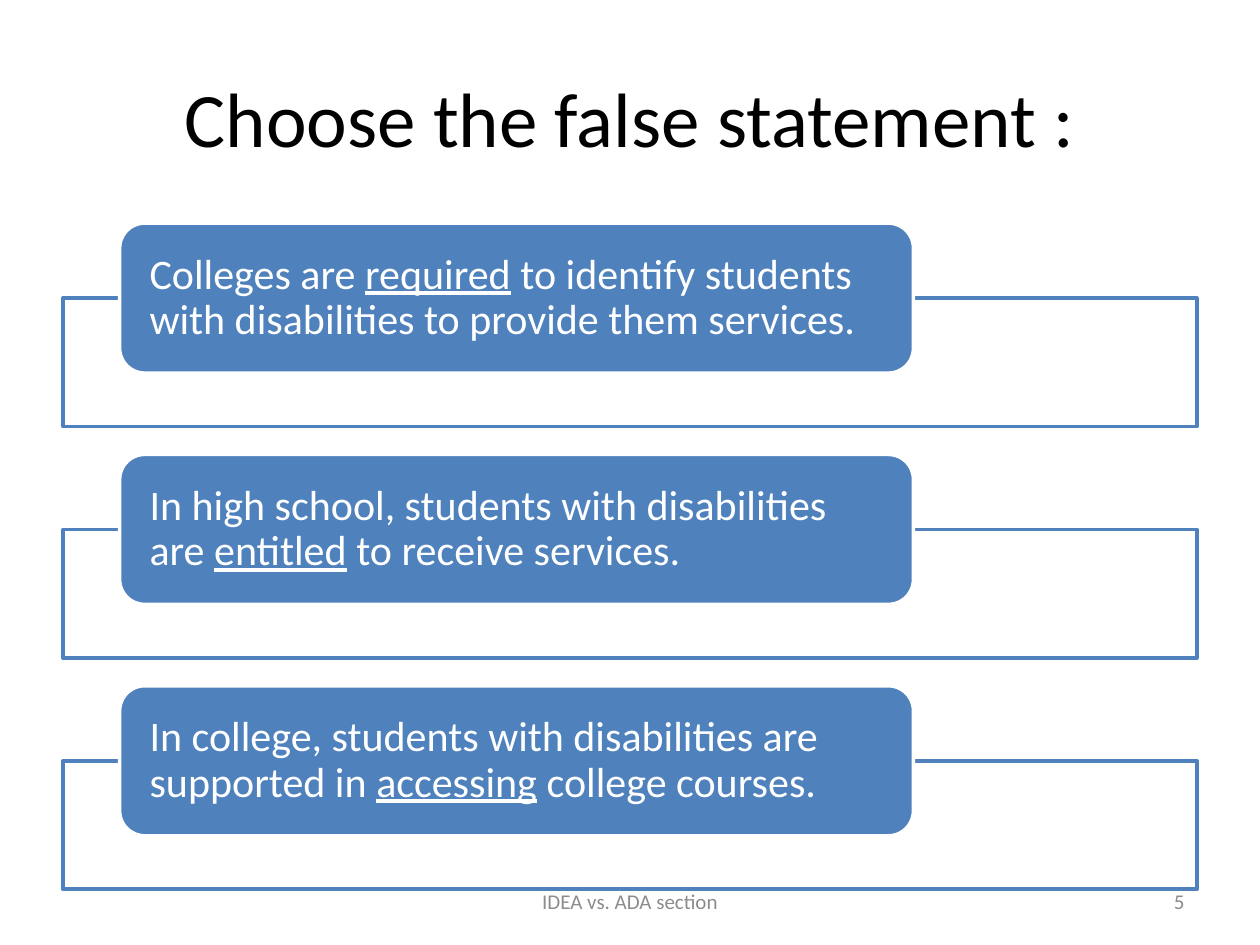
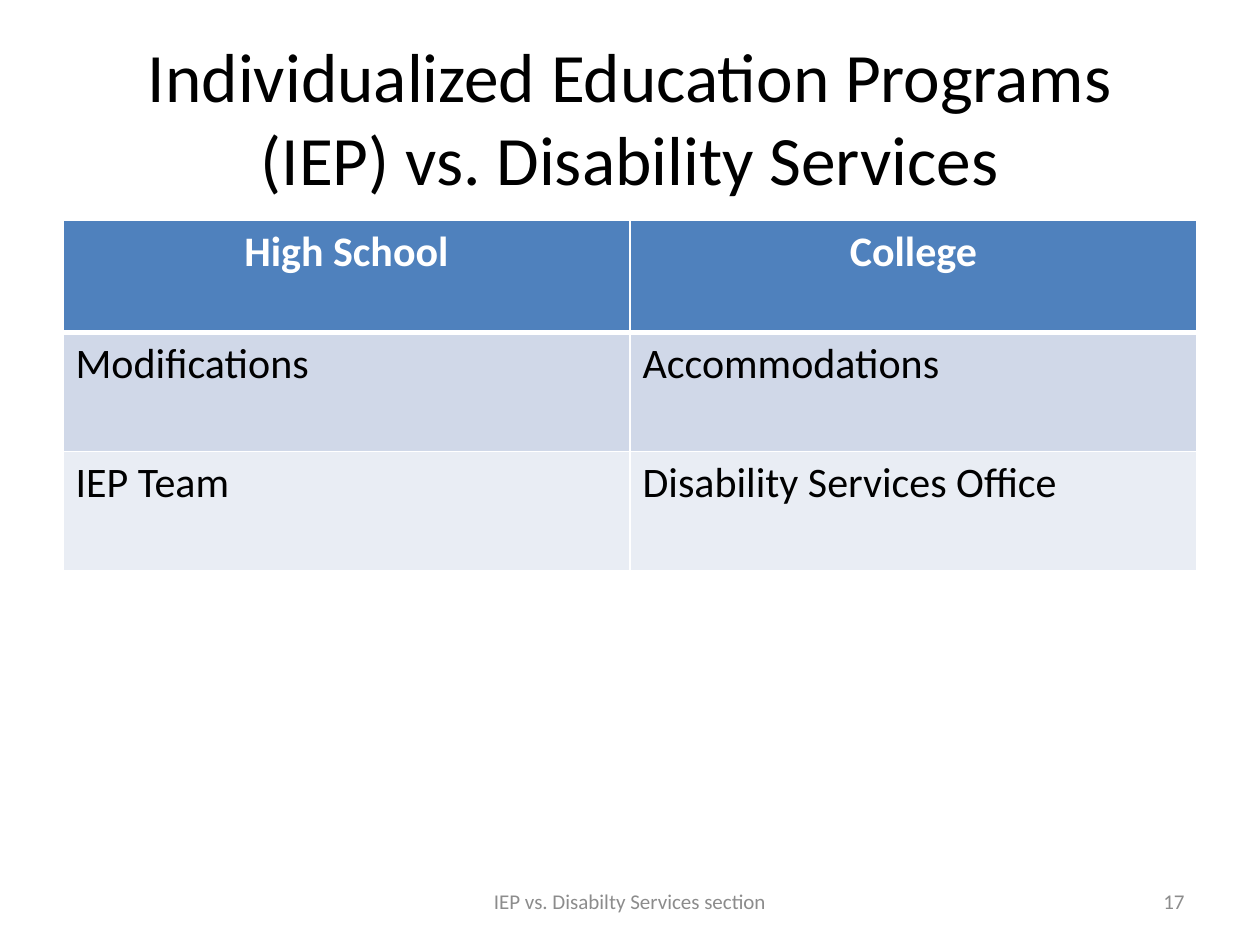
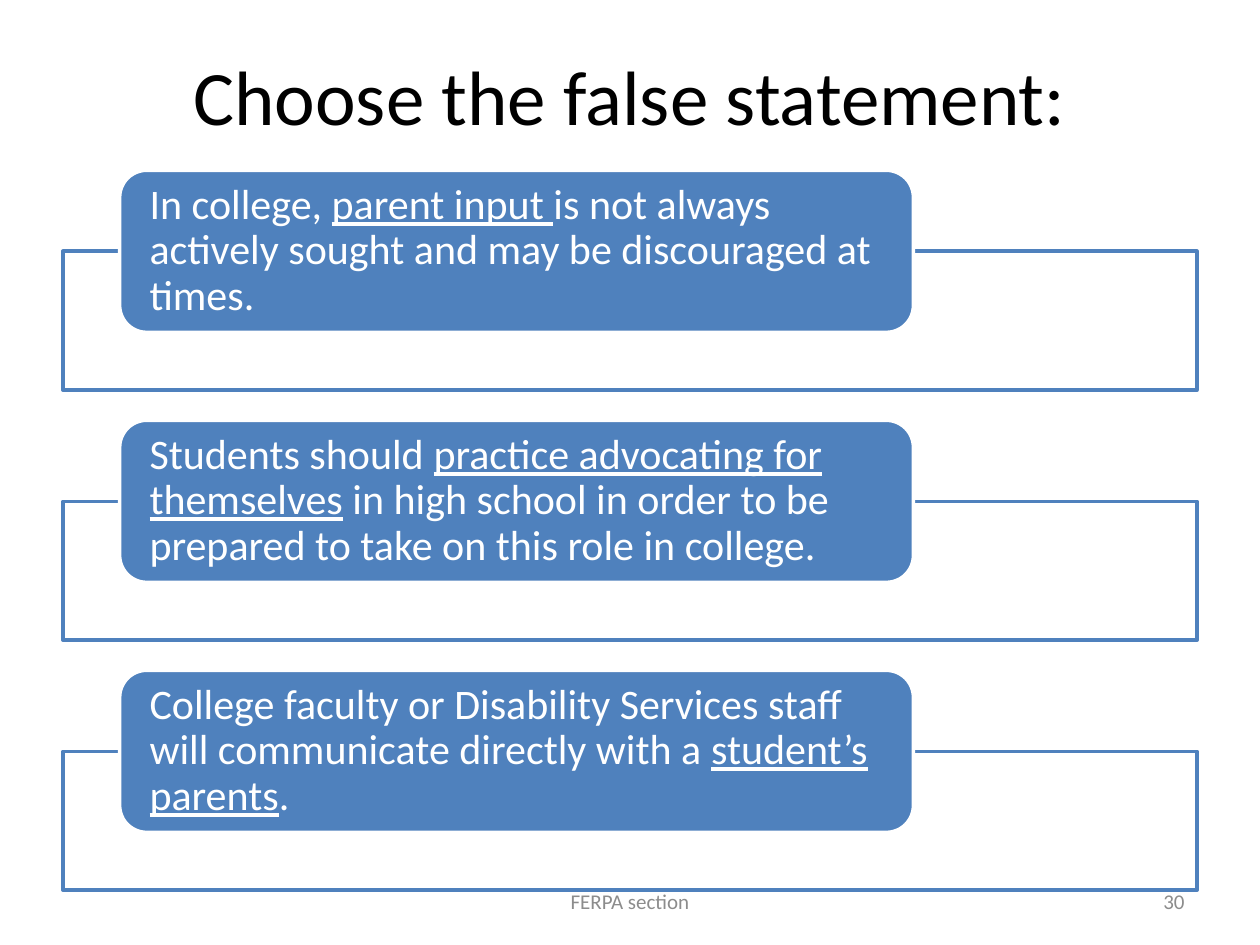
from pptx import Presentation
from pptx.dml.color import RGBColor as RGB
from pptx.enum.shapes import MSO_SHAPE as SHAPE
from pptx.enum.text import MSO_ANCHOR as ANCHOR, MSO_AUTO_SIZE as AUTO, PP_ALIGN as ALIGN
from pptx.oxml.ns import qn
from pptx.util import Pt
from lxml.etree import SubElement as Sub

BLUE = RGB(0x4F, 0x81, 0xBD)
WHITE = RGB(0xFF, 0xFF, 0xFF)
BLACK = RGB(0, 0, 0)
GREY = RGB(0x8C, 0x8C, 0x8C)
BANDS = [RGB(0xD0, 0xD8, 0xE8), RGB(0xE9, 0xED, 0xF4)]

LEFT, WIDE = 36, 648
HEAD = (LEFT, 21.6, WIDE, 90)

# Proportions of a statement list, relative to pill height
STEP, FRAME = 54 / 35, 6 / 7
ROUND, INSET = 0.05, 17.2


def put(obj, **vals):
    for name, val in vals.items():
        setattr(obj, name, val)


def place(shape, box):
    put(shape, **dict(zip(("left", "top", "width", "height"), map(Pt, box))))


class Deck:
    def __init__(self):
        self.prs = Presentation()
        put(self.prs, slide_width=Pt(720), slide_height=Pt(540))
        self.slide = None

    def page(self, title, footer, number, size=44, box=HEAD):
        self.slide = self.prs.slides.add_slide(self.prs.slide_layouts[5])
        head = self.slide.shapes.title
        place(head, box)
        self.text(head.text_frame, title, size, BLACK, ALIGN.CENTER)
        self.note(footer, 246, 228, ALIGN.CENTER)
        self.note(str(number), 516, 168, ALIGN.RIGHT)

    def text(self, frame, words, size, color, align=ALIGN.LEFT, bold=False):
        """Fill a frame; words between underscores are underlined."""
        put(frame, word_wrap=True, auto_size=AUTO.NONE, vertical_anchor=ANCHOR.MIDDLE)
        para = frame.paragraphs[0]
        para.alignment = align
        for i, part in enumerate(words.split("_")):
            run = para.add_run()
            run.text = part
            put(run.font, name="Calibri", size=Pt(size), bold=bold, underline=i % 2 == 1)
            run.font.color.rgb = color
        return para

    def note(self, words, left, width, align):
        box = self.slide.shapes.add_textbox(Pt(left), Pt(500.4), Pt(width), Pt(28.8))
        self.text(box.text_frame, words, 12, GREY, align)

    def block(self, kind, box, fill, line):
        shape = self.slide.shapes.add_shape(kind, *map(Pt, box))
        shape.shadow.inherit = False
        shape.fill.solid()
        shape.fill.fore_color.rgb = fill
        shape.line.color.rgb = line
        shape.line.width = Pt(2)
        return shape

    def list(self, top, high, items):
        for i, words in enumerate(items):
            y = top + i * high * STEP
            # Frame starts at the middle of its pill
            frame = self.block(SHAPE.RECTANGLE, (LEFT, y + high / 2, WIDE, high * FRAME),
                               WHITE, BLUE)
            tint = frame._element.spPr.find(qn("a:solidFill"))[0]
            Sub(tint, qn("a:alpha"), val="90000")
            pill = self.block(SHAPE.ROUNDED_RECTANGLE, (68.4, y, 453.6, high), BLUE, WHITE)
            # Rounded corners already push the text inward
            pad = Pt(INSET - ROUND * high)
            put(pill.text_frame, margin_left=pad, margin_right=pad,
                margin_top=0, margin_bottom=0)
            self.text(pill.text_frame, words, 24, WHITE).line_spacing = 0.9

    def table(self, top, highs, rows):
        cols = len(rows[0])
        grid = self.slide.shapes.add_table(len(rows), cols, Pt(LEFT), Pt(top),
                                           Pt(WIDE), Pt(sum(highs))).table
        for r, (high, row) in enumerate(zip(highs, rows)):
            grid.rows[r].height = Pt(high)
            first = r == 0
            for c, words in enumerate(row):
                cell = grid.cell(r, c)
                self.edge(cell, r)
                cell.fill.solid()
                cell.fill.fore_color.rgb = BLUE if first else BANDS[(r - 1) % 2]
                self.text(cell.text_frame, words, 24, WHITE if first else BLACK,
                          ALIGN.CENTER if first else ALIGN.LEFT, first)
                cell.vertical_anchor = ANCHOR.TOP

    def edge(self, cell, row):
        """White borders, thick below the header row."""
        props = cell._tc.get_or_add_tcPr()
        for side in "LRTB":
            thick = (row, side) in ((0, "B"), (1, "T"))
            line = Sub(props, qn("a:ln" + side), w=str(Pt(3 if thick else 1)))
            Sub(Sub(line, qn("a:solidFill")), qn("a:srgbClr"), val=str(WHITE))


def main():
    deck = Deck()

    # Quiz on the two laws
    deck.page("Choose the false statement :", "IDEA vs. ADA section", 5)
    deck.list(127.5, 85.68, [
        "Colleges are _required_ to identify students with disabilities to provide them services.",
        "In high school, students with disabilities are _entitled_ to receive services.",
        "In college, students with disabilities are supported in _accessing_ college courses.",
    ])

    # School and college compared
    deck.page("Individualized Education Programs (IEP) vs. Disability Services",
              "IEP vs. Disabilty Services section", 17, size=39.6)
    deck.table(126, [64, 68, 68], [
        ("High School", "College"),
        ("Modifications", "Accommodations"),
        ("IEP Team", "Disability Services Office"),
    ])

    # Quiz on parents and privacy
    deck.page("Choose the false statement:", "FERPA section", 30, box=(LEFT, 18, WIDE, 72))
    deck.list(97.3, 92.6, [
        "In college, _parent input _is not always actively sought and may be discouraged at times.",
        "Students should _practice advocating for themselves_ in high school in order to be "
        "prepared to take on this role in college.",
        "College faculty or Disability Services staff will communicate directly with a "
        "_student’s parents_.",
    ])

    deck.prs.save("out.pptx")


if __name__ == "__main__":
    main()
